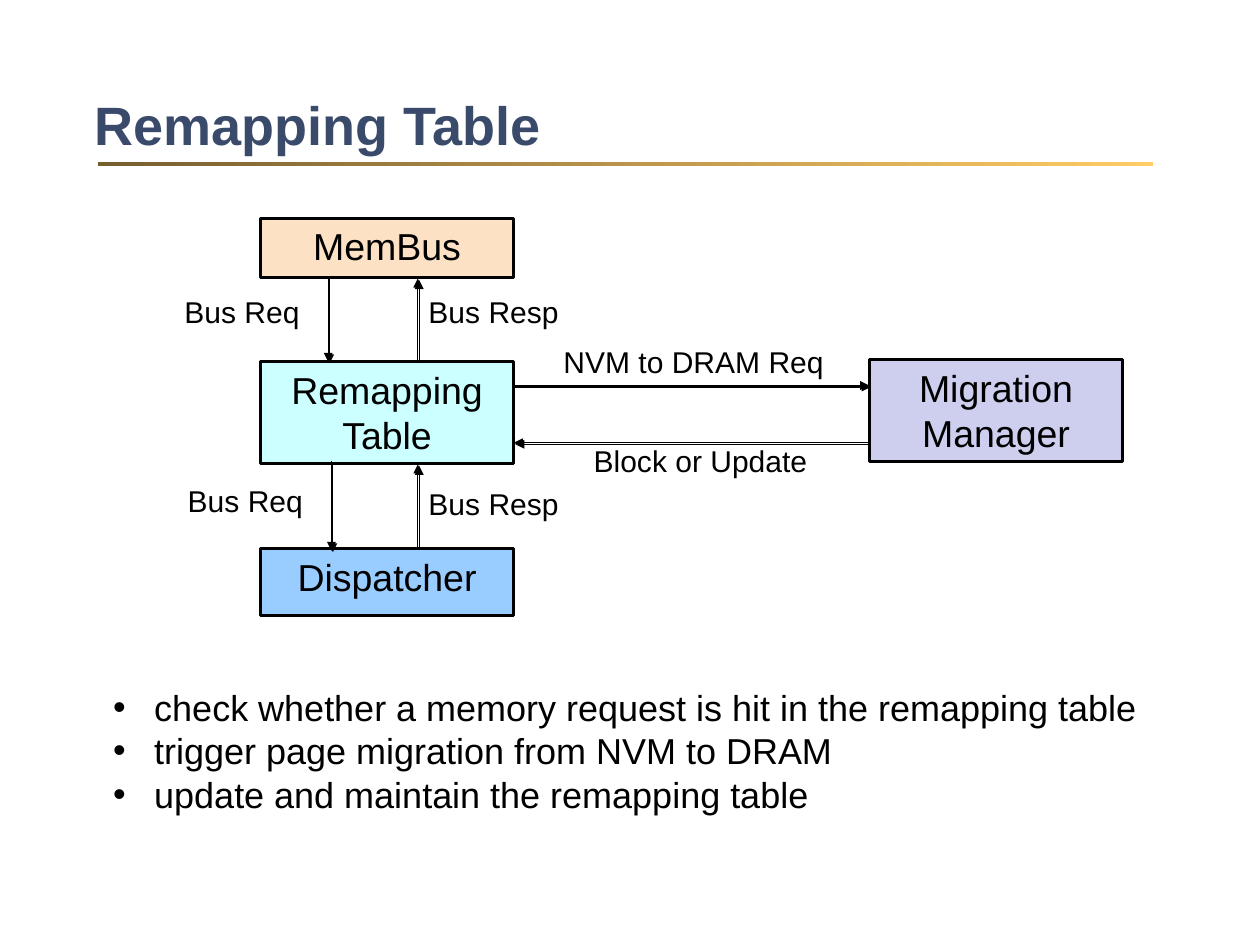
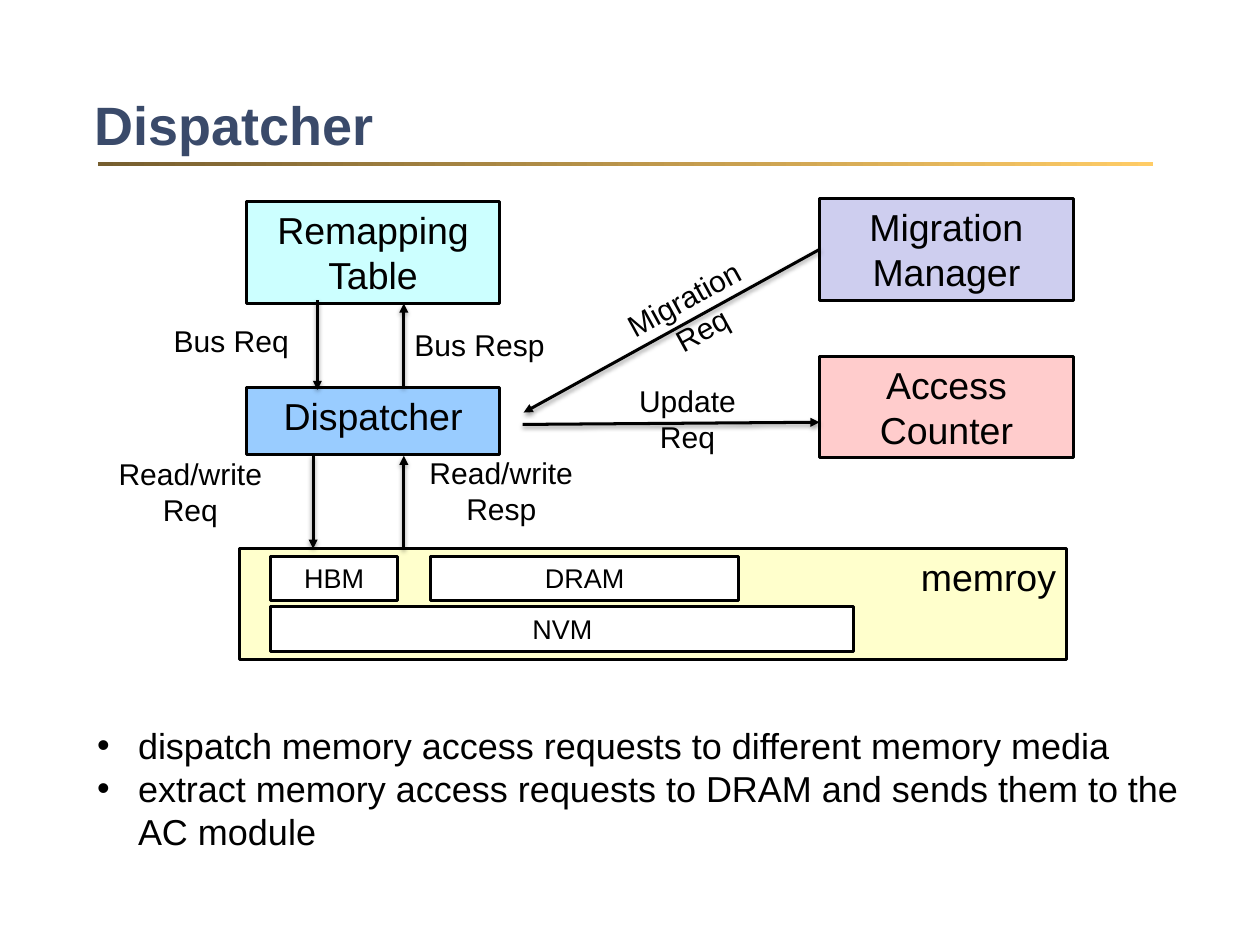
from lxml.etree import SubElement
from pptx import Presentation
from pptx.dml.color import RGBColor
from pptx.enum.shapes import MSO_CONNECTOR as CONN, MSO_SHAPE as SHAPE
from pptx.enum.text import MSO_ANCHOR as ANCHOR, MSO_AUTO_SIZE as AUTO, PP_ALIGN as ALIGN
from pptx.oxml.ns import qn
from pptx.util import Inches, Pt

FONT = "Arial"
BLACK, WHITE, NAVY = "000000", "FFFFFF", "3A4A6A"
BROWN, GOLD = "765E2F", "FFCC66"
PEACH, CYAN, BLUE = "FDE1C5", "CCFFFF", "99CCFF"
LILAC, PINK, YELLOW = "CECEEF", "FFCCCC", "FFFFCC"
BOX_W, TALL, LOW, CELL_H = 2.35, 0.94, 0.62, 0.41
HARD = dict(width=0.75, alpha=100, blur=0, dist=1.4, angle=45)
SOFT = dict(width=2, alpha=38, blur=3.1, dist=1.6, angle=90)


def rgb(color):
    """Turn a hex string into a colour."""
    return RGBColor.from_string(color)


def add_par(tf, i, text, size, align=ALIGN.LEFT, color=BLACK, bold=False):
    """Write paragraph i of a text frame and return it."""
    p = tf.add_paragraph() if i else tf.paragraphs[0]
    p.alignment = align
    r = p.add_run()
    r.text = text
    r.font.name, r.font.size, r.font.bold = FONT, Pt(size), bold
    r.font.color.rgb = rgb(color)
    return p


def add_text(s, x, y, w, h, wrap=True):
    """Add an empty text box and return it."""
    sp = s.shapes.add_textbox(Inches(x), Inches(y), Inches(w), Inches(h))
    sp.text_frame.word_wrap = wrap
    return sp


def add_rect(s, x, y, w, h):
    """Add a rectangle without shadow."""
    sp = s.shapes.add_shape(SHAPE.RECTANGLE, Inches(x), Inches(y), Inches(w), Inches(h))
    sp.shadow.inherit = False
    return sp


def add_titled_slide(prs, title):
    """Add a slide with the shared title and gradient rule."""
    s = prs.slides.add_slide(prs.slide_layouts[6])
    rule = add_rect(s, 0.91, 1.5, 9.77, 0.04)
    rule.line.fill.background()
    rule.fill.gradient()
    rule.fill.gradient_angle = 0
    for stop, color, position in zip(rule.fill.gradient_stops, (BROWN, GOLD), (0, 1)):
        stop.color.rgb, stop.position = rgb(color), position
    tf = add_text(s, 0.78, 0.6, 10.29, 1.1).text_frame
    tf.vertical_anchor = ANCHOR.MIDDLE
    add_par(tf, 0, title, 36, color=NAVY, bold=True)
    return s


def add_box(s, x, y, h, lines, fill, w=BOX_W, size=25, align=ALIGN.CENTER):
    """Add an outlined block with text from the top."""
    sp = add_rect(s, x, y, w, h)
    sp.fill.solid()
    sp.fill.fore_color.rgb = rgb(fill)
    sp.line.color.rgb = rgb(BLACK)
    sp.line.width = Pt(2)
    tf = sp.text_frame
    tf.word_wrap, tf.vertical_anchor = True, ANCHOR.TOP
    for i, line in enumerate(lines):
        add_par(tf, i, line, size, align)
    return sp


def add_label(s, x, y, w, *lines, rotation=0):
    """Add an arrow label whose second line is centred."""
    sp = add_text(s, x, y, w, 0.44 if len(lines) == 1 else 0.77, wrap=False)
    sp.rotation = rotation
    sp.text_frame.auto_size = AUTO.SHAPE_TO_FIT_TEXT
    for i, line in enumerate(lines):
        add_par(sp.text_frame, i, line, 20, ALIGN.CENTER if i else ALIGN.LEFT)


def add_arrow(s, start, end, style):
    """Add an arrow with its shadow and return it."""
    cx = s.shapes.add_connector(CONN.STRAIGHT, *map(Inches, start + end))
    cx.line.color.rgb = rgb(BLACK)
    cx.line.width = Pt(style["width"])
    SubElement(cx.line._get_or_add_ln(), qn("a:tailEnd"), type="triangle")
    effects = SubElement(cx._element.spPr, qn("a:effectLst"))
    shadow = SubElement(effects, qn("a:outerShdw"), blurRad=str(Pt(style["blur"])),
                        dist=str(Pt(style["dist"])), dir=str(style["angle"] * 60000),
                        algn="ctr", rotWithShape="0")
    color = SubElement(shadow, qn("a:srgbClr"), val=BLACK)
    SubElement(color, qn("a:alpha"), val=str(style["alpha"] * 1000))
    return cx


def add_bullets(s, x, y, items):
    """Add the bulleted notes below a diagram."""
    tf = add_text(s, x, y, 10.28, 1.31).text_frame
    for i, item in enumerate(items):
        pPr = add_par(tf, i, item, 24)._p.get_or_add_pPr()
        pPr.set("marL", str(Inches(0.38)))
        pPr.set("indent", str(Inches(-0.38)))
        SubElement(pPr, qn("a:buFont"), typeface=FONT)
        SubElement(pPr, qn("a:buChar"), char="•")


def build_remapping(prs):
    """Build the remapping table slide."""
    s = add_titled_slide(prs, "Remapping Table")
    add_bullets(s, 0.95, 6.3, [
        "check whether a memory request is hit in the remapping table",
        "trigger page migration from NVM to DRAM",
        "update and maintain the remapping table"])
    add_box(s, 2.41, 2.02, 0.55, ["MemBus"], PEACH)
    add_box(s, 2.41, 3.35, TALL, ["Remapping Table"], CYAN)
    add_box(s, 2.41, 5.08, LOW, ["Dispatcher"], BLUE)
    add_box(s, 8.05, 3.33, TALL, ["Migration", "Manager"], LILAC)
    for start, end in [((3.87, 5.07), (3.87, 4.3)), ((3.87, 3.35), (3.87, 2.58)),
                       ((3.04, 2.57), (3.04, 3.35)), ((3.07, 4.27), (3.07, 5.1)),
                       ((8.05, 4.1), (4.76, 4.1)), ((4.76, 3.57), (8.05, 3.57))]:
        add_arrow(s, start, end, HARD)
    add_label(s, 1.61, 2.67, 1.28, "Bus Req")
    add_label(s, 1.64, 4.42, 1.28, "Bus Req")
    add_label(s, 3.87, 2.67, 1.42, "Bus Resp")
    add_label(s, 3.87, 4.45, 1.42, "Bus Resp")
    add_label(s, 5.12, 3.13, 2.63, "NVM to DRAM Req")
    add_label(s, 5.4, 4.05, 2.2, "Block or Update")


def build_dispatcher(prs):
    """Build the dispatcher slide."""
    s = add_titled_slide(prs, "Dispatcher")
    add_bullets(s, 0.8, 6.65, [
        "dispatch memory access requests to different memory media",
        "extract memory access requests to DRAM and sends them to the AC module"])
    add_box(s, 2.28, 1.87, TALL, ["Remapping Table"], CYAN)
    add_box(s, 2.28, 3.59, LOW, ["Dispatcher"], BLUE)
    manager = add_box(s, 7.59, 1.84, TALL, ["Migration", "Manager"], LILAC)
    add_box(s, 7.59, 3.3, TALL, ["Access Counter"], PINK)
    memory = [add_box(s, 2.22, 5.08, 1.03, ["memroy"], YELLOW, w=7.66, align=ALIGN.RIGHT)]
    for x, y, w, name in [(2.51, 5.15, 1.17, "HBM"), (3.99, 5.15, 2.85, "DRAM"),
                          (2.51, 5.62, 5.4, "NVM")]:
        memory.append(add_box(s, x, y, CELL_H, [name], WHITE, w=w, size=18))
    s.shapes.add_group_shape(memory)
    for start, end in [((3.74, 3.58), (3.74, 2.81)), ((2.94, 2.78), (2.94, 3.61)),
                       ((2.9, 4.22), (2.9, 5.08)), ((3.74, 5.08), (3.74, 4.22)),
                       ((4.84, 3.93), (7.59, 3.91))]:
        add_arrow(s, start, end, SOFT)
    add_arrow(s, (7.59, 2.31), (4.85, 3.82), SOFT).begin_connect(manager, 1)
    add_label(s, 1.51, 2.94, 1.28, "Bus Req")
    add_label(s, 3.74, 2.97, 1.42, "Bus Resp")
    add_label(s, 1, 4.17, 1.54, "Read/write", "Req")
    add_label(s, 3.88, 4.16, 1.54, "Read/write", "Resp")
    add_label(s, 5.74, 2.52, 1.36, "Migration", "Req", rotation=331.3)
    add_label(s, 5.82, 3.49, 1.11, "Update", "Req")


def main():
    """Build and save the presentation."""
    prs = Presentation()
    prs.slide_width, prs.slide_height = Inches(11.67), Inches(8.75)
    build_remapping(prs)
    build_dispatcher(prs)
    prs.save("out.pptx")


if __name__ == "__main__":
    main()
